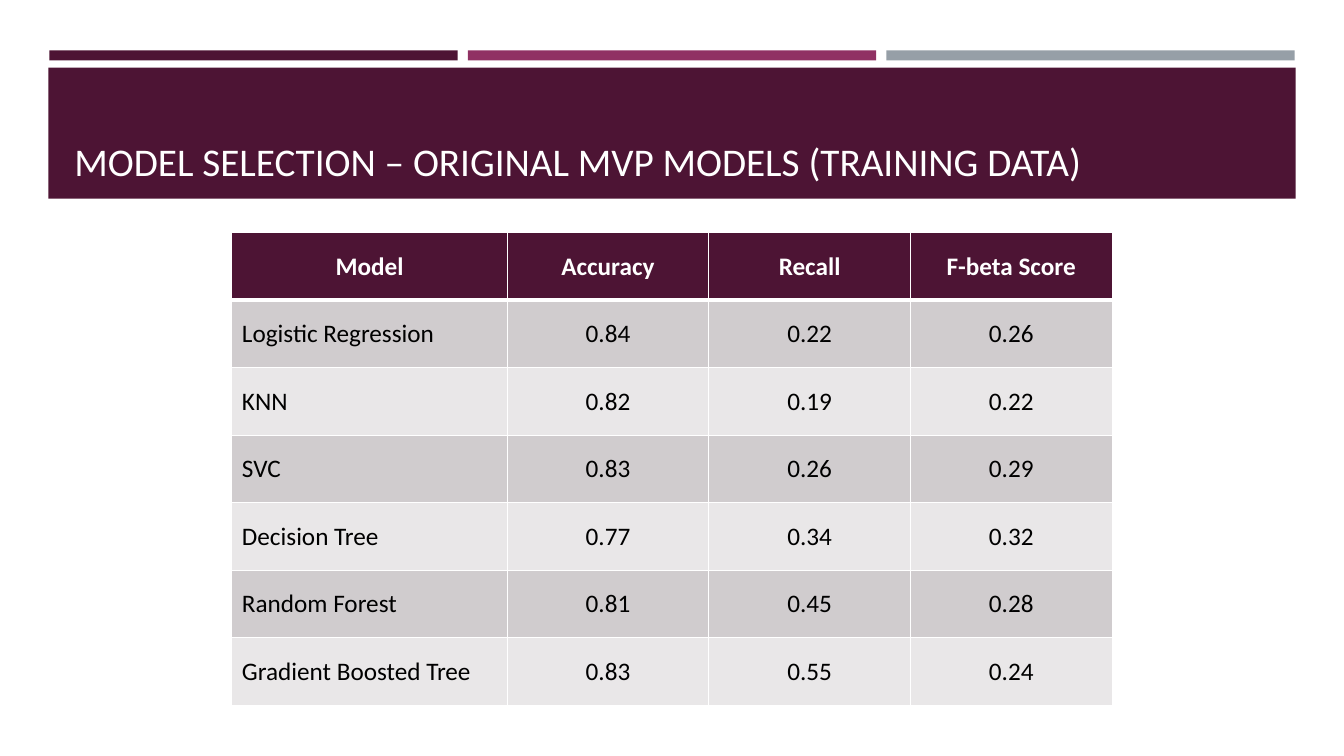
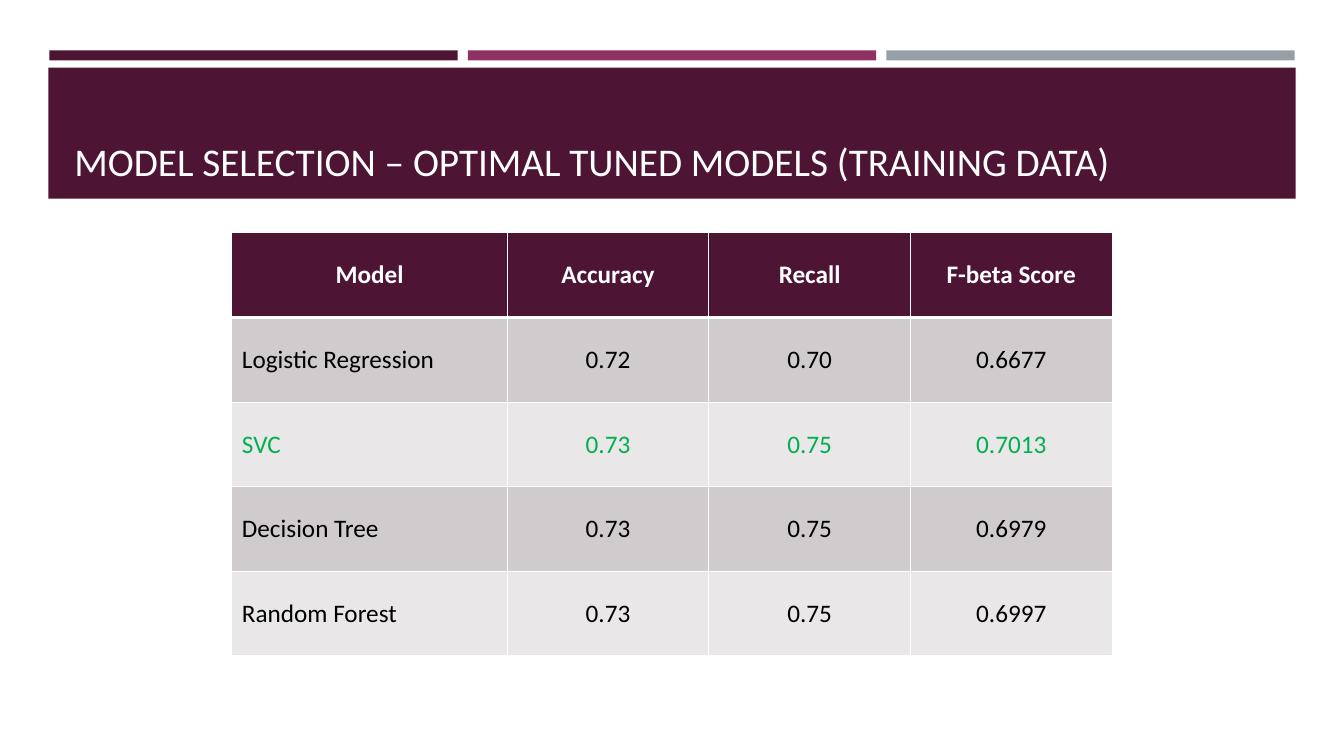
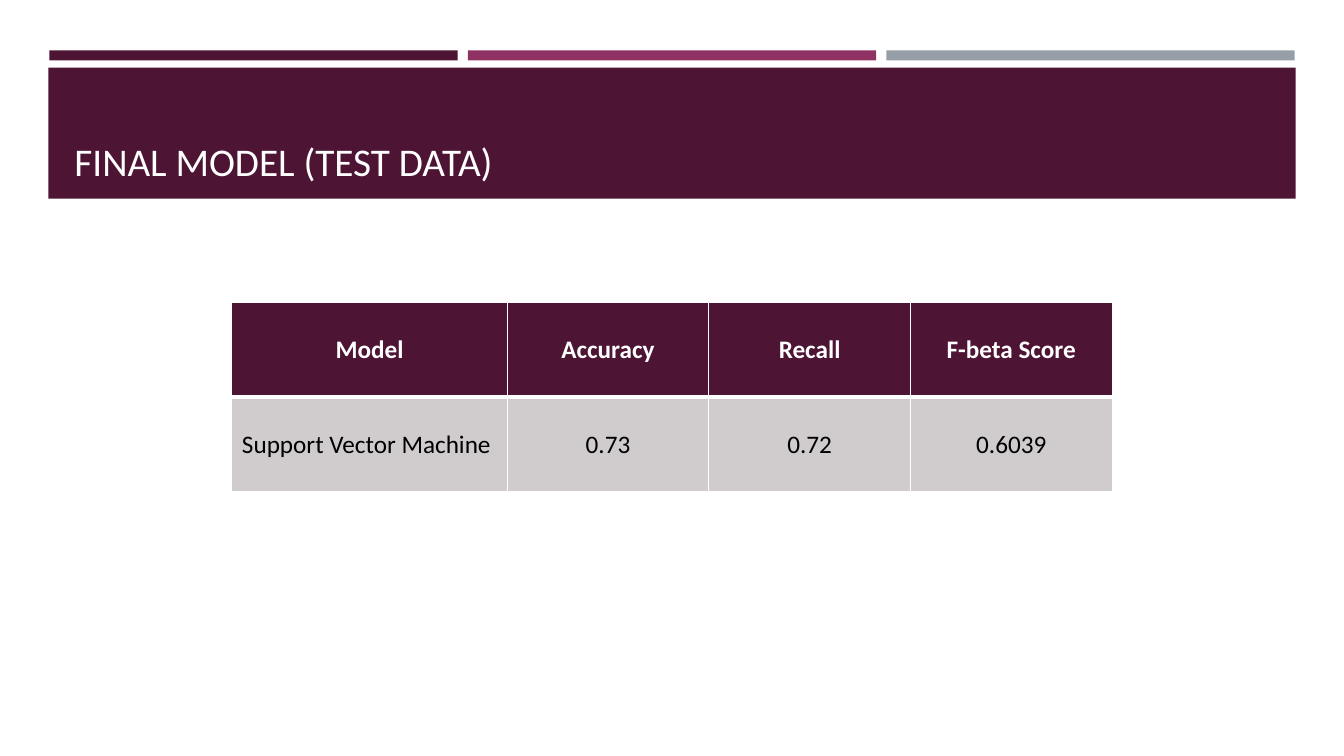
from pptx import Presentation
from pptx.dml.color import RGBColor
from pptx.enum.shapes import MSO_SHAPE
from pptx.enum.text import MSO_ANCHOR, PP_ALIGN
from pptx.oxml.ns import qn
from pptx.util import Inches, Pt
from lxml.etree import SubElement

COLORS = {
    "plum": "4D1434",
    "magenta": "903163",
    "slate": "969FA7",
    "white": "FFFFFF",
    "black": "000000",
    "green": "00B050",
    "row_dark": "D0CCCE",
    "row_light": "E9E7E8",
}
FONT = "Calibri"
HEADINGS = ("Model", "Accuracy", "Recall", "F-beta Score")
COLUMN_WIDTHS = (2.73, 2, 2, 2)
TABLE_LEFT = 2.3
STRIPE_LEFT, STRIPE_WIDTH, STRIPE_GAP = 0.49, 4.05, 0.1

ORIGINAL_MODELS = (
    ("Logistic Regression", "0.84", "0.22", "0.26"),
    ("KNN", "0.82", "0.19", "0.22"),
    ("SVC", "0.83", "0.26", "0.29"),
    ("Decision Tree", "0.77", "0.34", "0.32"),
    ("Random Forest", "0.81", "0.45", "0.28"),
    ("Gradient Boosted Tree", "0.83", "0.55", "0.24"),
)
TUNED_MODELS = (
    ("Logistic Regression", "0.72", "0.70", "0.6677"),
    ("SVC", "0.73", "0.75", "0.7013"),
    ("Decision Tree", "0.73", "0.75", "0.6979"),
    ("Random Forest", "0.73", "0.75", "0.6997"),
)
FINAL_MODEL = (("Support Vector Machine", "0.73", "0.72", "0.6039"),)


def color(name):
    return RGBColor.from_string(COLORS[name])


def style_text(paragraph, size, color_name, bold=False):
    for span in paragraph.runs:
        span.font.name = FONT
        span.font.size = Pt(size)
        span.font.bold = bold
        span.font.color.rgb = color(color_name)


def add_band(page, left, top, width, height, color_name):
    band = page.shapes.add_shape(
        MSO_SHAPE.RECTANGLE, Inches(left), Inches(top), Inches(width), Inches(height)
    )
    band.shadow.inherit = False
    band.fill.solid()
    band.fill.fore_color.rgb = color(color_name)
    band.line.fill.background()


def add_title(page, title):
    box = page.shapes.add_textbox(
        Inches(0.64), Inches(0.77), Inches(12.06), Inches(1.11)
    )
    frame = box.text_frame
    frame.word_wrap = True
    frame.vertical_anchor = MSO_ANCHOR.BOTTOM
    frame.text = title
    style_text(frame.paragraphs[0], 28, "white")


def add_page(deck, title):
    page = deck.slides.add_slide(deck.slide_layouts[6])
    for index, name in enumerate(("plum", "magenta", "slate")):
        left = STRIPE_LEFT + index * (STRIPE_WIDTH + STRIPE_GAP)
        add_band(page, left, 0.5, STRIPE_WIDTH, 0.1, name)
    add_band(page, 0.48, 0.67, 12.37, 1.3, "plum")
    add_title(page, title)
    return page


def set_borders(cell, top, bottom):
    properties = cell._tc.get_or_add_tcPr()
    for tag, points in (("lnL", 1), ("lnR", 1), ("lnT", top), ("lnB", bottom)):
        line = SubElement(properties, qn(f"a:{tag}"), w=str(Pt(points)))
        fill = SubElement(line, qn("a:solidFill"))
        SubElement(fill, qn("a:srgbClr"), val=COLORS["white"])


def format_cell(cell, text, row, column, text_color):
    is_heading = row == 0
    set_borders(cell, top=3 if row == 1 else 1, bottom=3 if is_heading else 1)
    row_color = "row_dark" if row % 2 else "row_light"
    cell.fill.solid()
    cell.fill.fore_color.rgb = color("plum" if is_heading else row_color)
    cell.vertical_anchor = MSO_ANCHOR.MIDDLE
    cell.text_frame.text = text
    paragraph = cell.text_frame.paragraphs[0]
    centered = is_heading or column > 0
    paragraph.alignment = PP_ALIGN.CENTER if centered else PP_ALIGN.LEFT
    style_text(paragraph, 18, text_color, is_heading)


def add_score_table(page, models, top, row_height, best_model=None):
    rows = (HEADINGS, *models)
    table = page.shapes.add_table(
        len(rows),
        len(HEADINGS),
        Inches(TABLE_LEFT),
        Inches(top),
        Inches(sum(COLUMN_WIDTHS)),
        Inches(row_height * len(rows)),
    ).table
    for column, width in zip(table.columns, COLUMN_WIDTHS):
        column.width = Inches(width)
    for row, values in enumerate(rows):
        table.rows[row].height = Inches(row_height)
        body_color = "green" if values[0] == best_model else "black"
        text_color = "white" if row == 0 else body_color
        for column, text in enumerate(values):
            format_cell(table.cell(row, column), text, row, column, text_color)


def main():
    deck = Presentation()
    deck.slide_width = Inches(13.33)
    deck.slide_height = Inches(7.5)

    page = add_page(deck, "MODEL SELECTION – ORIGINAL MVP MODELS (TRAINING DATA)")
    add_score_table(page, ORIGINAL_MODELS, 2.31, 0.67)

    page = add_page(deck, "MODEL SELECTION – OPTIMAL TUNED MODELS (TRAINING DATA)")
    add_score_table(page, TUNED_MODELS, 2.31, 0.84, best_model="SVC")

    page = add_page(deck, "FINAL MODEL (TEST DATA)")
    add_score_table(page, FINAL_MODEL, 3, 0.94)

    deck.save("out.pptx")


if __name__ == "__main__":
    main()
